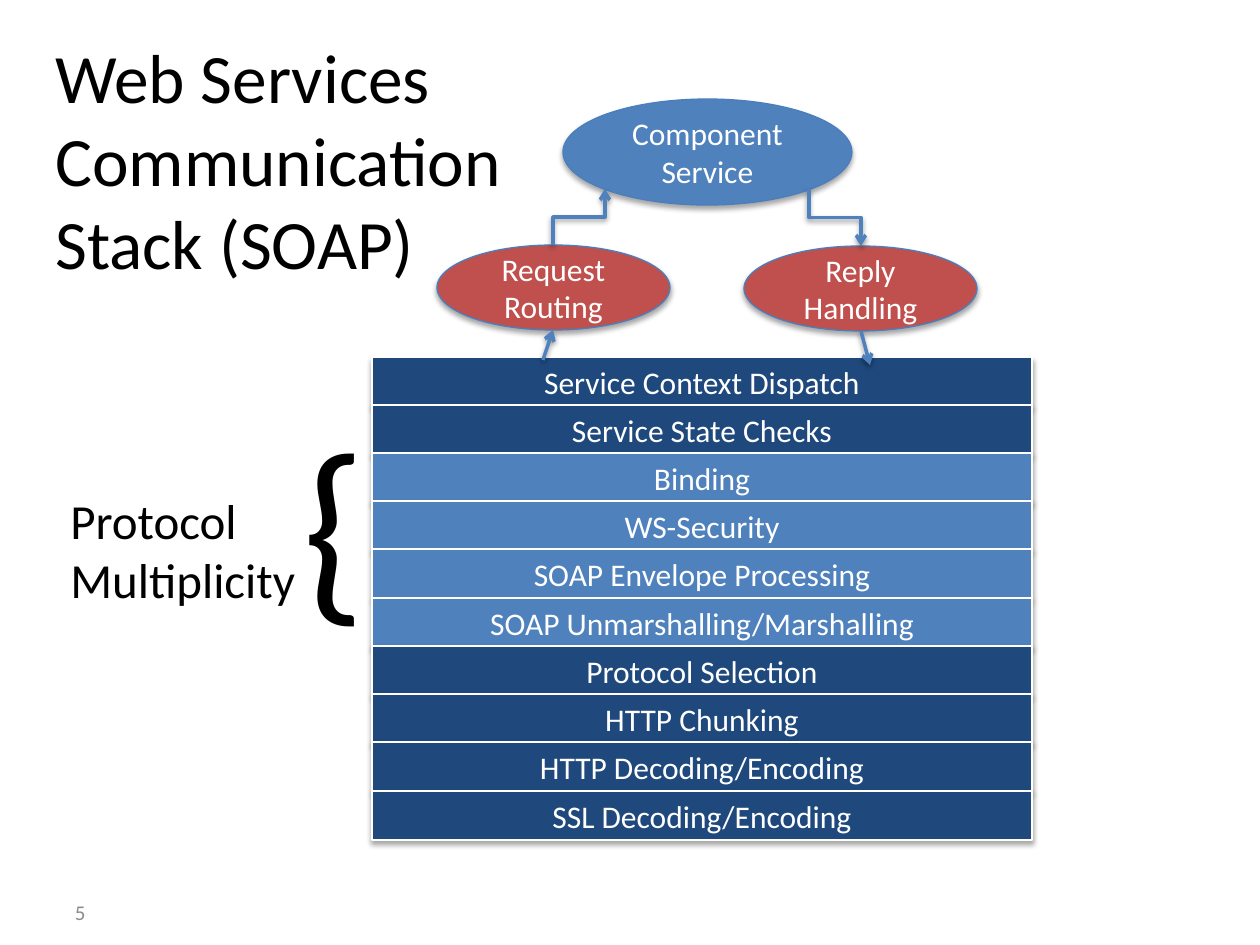
from typing import NamedTuple

from lxml import etree
from pptx import Presentation
from pptx.dml.color import RGBColor
from pptx.enum.shapes import MSO_CONNECTOR, MSO_SHAPE
from pptx.enum.text import MSO_ANCHOR, MSO_AUTO_SIZE, PP_ALIGN
from pptx.oxml.ns import qn
from pptx.util import Emu, Pt

PX = 914400 // 126
FONT = "Calibri"

NAVY = RGBColor(0x1F, 0x49, 0x7D)
BLUE = RGBColor(0x4F, 0x81, 0xBD)
OUTLINE_BLUE = RGBColor(0x4B, 0x7E, 0xBC)
RED = RGBColor(0xC0, 0x50, 0x4D)
GRAY = RGBColor(0x8C, 0x8C, 0x8C)
WHITE = RGBColor(0xFF, 0xFF, 0xFF)
BLACK = RGBColor(0x00, 0x00, 0x00)

PROCESS, OVAL = MSO_SHAPE.FLOWCHART_PROCESS, MSO_SHAPE.OVAL
STRAIGHT, ELBOW = MSO_CONNECTOR.STRAIGHT, MSO_CONNECTOR.ELBOW
LEFT, CENTER, RIGHT = PP_ALIGN.LEFT, PP_ALIGN.CENTER, PP_ALIGN.RIGHT
TOP, MIDDLE = MSO_ANCHOR.TOP, MSO_ANCHOR.MIDDLE
GROW = MSO_AUTO_SIZE.SHAPE_TO_FIT_TEXT


class Box(NamedTuple):
    left: int
    top: int
    width: int
    height: int


class Node(NamedTuple):
    shape: MSO_SHAPE
    box: Box
    paragraphs: tuple[str, ...]
    fill: RGBColor
    outline: RGBColor


class Label(NamedTuple):
    box: Box
    paragraphs: tuple[str, ...]
    size: float
    color: RGBColor = BLACK
    align: PP_ALIGN = LEFT
    anchor: MSO_ANCHOR = TOP
    wraps: bool = False


class Arrow(NamedTuple):
    start: tuple[int, int]
    end: tuple[int, int]


STACK = Box(372, 357, 660, 49)
LAST_LAYER_TOP = 791
LAYERS = (
    ("Service Context Dispatch", NAVY),
    ("Service State Checks", NAVY),
    ("Binding", BLUE),
    ("WS-Security", BLUE),
    ("SOAP Envelope Processing", BLUE),
    ("SOAP Unmarshalling/Marshalling", BLUE),
    ("Protocol Selection", NAVY),
    ("HTTP Chunking", NAVY),
    ("HTTP Decoding/Encoding", NAVY),
    ("SSL Decoding/Encoding", NAVY),
)
ENDPOINTS = (
    Node(OVAL, Box(437, 245, 233, 85), ("Request Routing",), RED, OUTLINE_BLUE),
    Node(OVAL, Box(744, 246, 233, 85), ("Reply Handling",), RED, OUTLINE_BLUE),
    Node(OVAL, Box(563, 99, 289, 106), ("Component", "Service"), BLUE, OUTLINE_BLUE),
)
# A vertical tab marks a line break inside a paragraph.
LABELS = (
    Label(Box(43, 83, 1174, 151), ("Web Services\vCommunication\vStack (SOAP)",), 39.6,
          anchor=MIDDLE, wraps=True),
    Label(Box(35, 891, 63, 43), ("5",), 12, GRAY, RIGHT, MIDDLE, True),
    Label(Box(58, 484, 253, 131), ("Protocol", "Multiplicity"), 28),
    Label(Box(290, 392, 93, 257), ("{",), 115),
)
ELBOW_ARROWS = (Arrow((553, 245), (605, 189)), Arrow((809, 189), (861, 246)))
STRAIGHT_ARROWS = (Arrow((543, 360), (553, 330)), Arrow((861, 331), (870, 365)))


def px(*lengths: float) -> list[Emu]:
    return [Emu(round(length * PX)) for length in lengths]


def write_text(frame, paragraphs: tuple[str, ...], size: float, color: RGBColor,
               align: PP_ALIGN, anchor: MSO_ANCHOR) -> None:
    frame.vertical_anchor = anchor
    for index, text in enumerate(paragraphs):
        para = frame.add_paragraph() if index else frame.paragraphs[0]
        para.alignment = align
        for line_index, line in enumerate(text.split("\v")):
            if line_index:
                para.add_line_break()
            span = para.add_run()
            span.text = line
            span.font.name = FONT
            span.font.size = Pt(size)
            span.font.color.rgb = color


def add_shadow(shape, distance: float, opacity: int) -> None:
    """Append a soft downward shadow; call it after fill and line are set."""
    effects = etree.SubElement(shape._element.spPr, qn("a:effectLst"))
    shadow = etree.SubElement(
        effects, qn("a:outerShdw"), blurRad=str(Pt(3.1)), dist=str(Pt(distance)),
        dir="5400000", rotWithShape="0")
    color = etree.SubElement(shadow, qn("a:srgbClr"), val=str(BLACK))
    etree.SubElement(color, qn("a:alpha"), val=str(opacity * 1000))


def draw_node(page, node: Node) -> None:
    shape = page.shapes.add_shape(node.shape, *px(*node.box))
    shape.fill.solid()
    shape.fill.fore_color.rgb = node.fill
    shape.line.color.rgb = node.outline
    shape.line.width = Pt(0.75)
    add_shadow(shape, 1.8, 35)
    write_text(shape.text_frame, node.paragraphs, 18, WHITE, CENTER, MIDDLE)


def draw_label(page, label: Label) -> None:
    frame = page.shapes.add_textbox(*px(*label.box)).text_frame
    frame.word_wrap = label.wraps
    if not label.wraps:
        frame.auto_size = GROW
    write_text(frame, label.paragraphs, label.size, label.color, label.align, label.anchor)


def style_arrow(connector) -> None:
    connector.line.color.rgb = BLUE
    connector.line.width = Pt(2)
    line = connector._element.spPr.find(qn("a:ln"))
    etree.SubElement(line, qn("a:tailEnd"), type="arrow")
    add_shadow(connector, 1.6, 38)


def draw_straight_arrow(page, arrow: Arrow) -> None:
    style_arrow(page.shapes.add_connector(STRAIGHT, *px(*arrow.start, *arrow.end)))


def draw_elbow_arrow(page, arrow: Arrow) -> None:
    """Draw a rightward elbow that leaves and arrives vertically, by a quarter turn."""
    (start_x, start_y), (end_x, end_y) = arrow
    middle_x, middle_y = (start_x + end_x) / 2, (start_y + end_y) / 2
    half_run, half_rise = (end_x - start_x) / 2, abs(end_y - start_y) / 2
    goes_up = end_y < start_y
    side = half_run if goes_up else -half_run
    connector = page.shapes.add_connector(
        ELBOW, *px(middle_x + half_rise, middle_y + side,
                   middle_x - half_rise, middle_y - side))
    quarter_turns = 1 if goes_up else 3
    connector._element.spPr.find(qn("a:xfrm")).set("rot", str(quarter_turns * 5400000))
    style_arrow(connector)


def main() -> None:
    deck = Presentation()
    deck.slide_width, deck.slide_height = px(1260, 945)
    page = deck.slides.add_slide(deck.slide_layouts[6])
    for index, (name, fill) in enumerate(LAYERS):
        top = STACK.top + index * (LAST_LAYER_TOP - STACK.top) // (len(LAYERS) - 1)
        draw_node(page, Node(PROCESS, STACK._replace(top=top), (name,), fill, WHITE))
    for node in ENDPOINTS:
        draw_node(page, node)
    for arrow in ELBOW_ARROWS:
        draw_elbow_arrow(page, arrow)
    for arrow in STRAIGHT_ARROWS:
        draw_straight_arrow(page, arrow)
    for label in LABELS:
        draw_label(page, label)
    deck.save("out.pptx")


if __name__ == "__main__":
    main()
